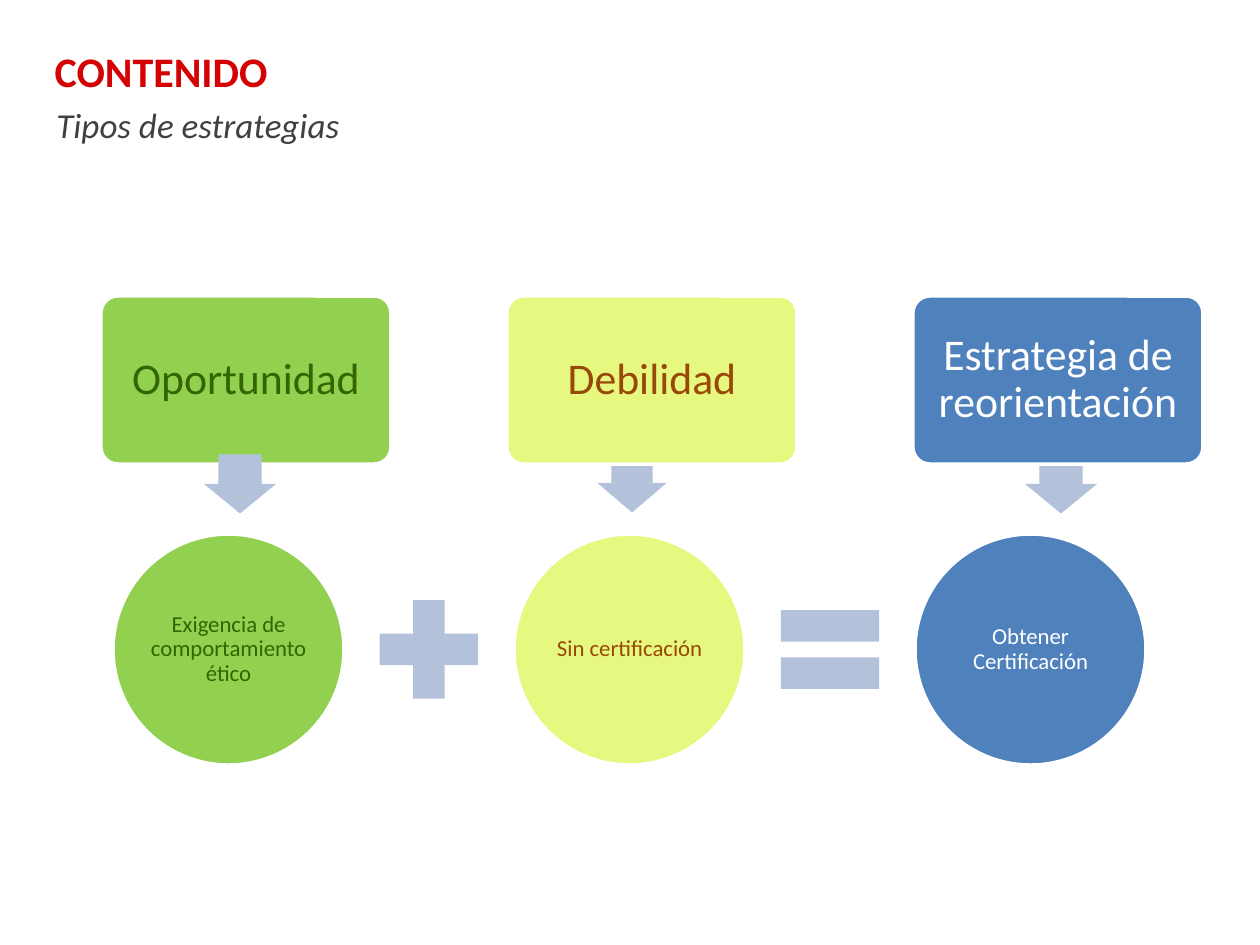
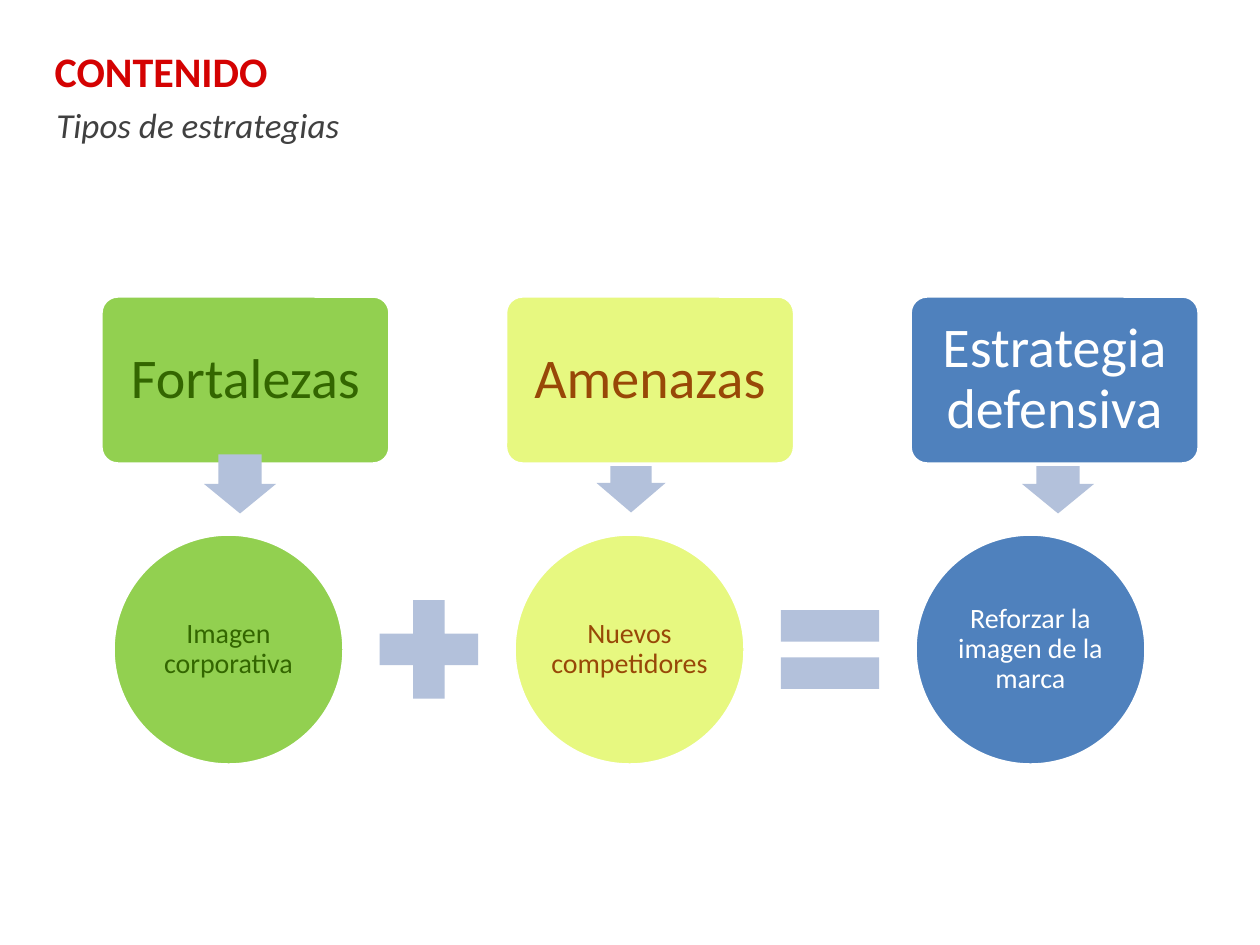
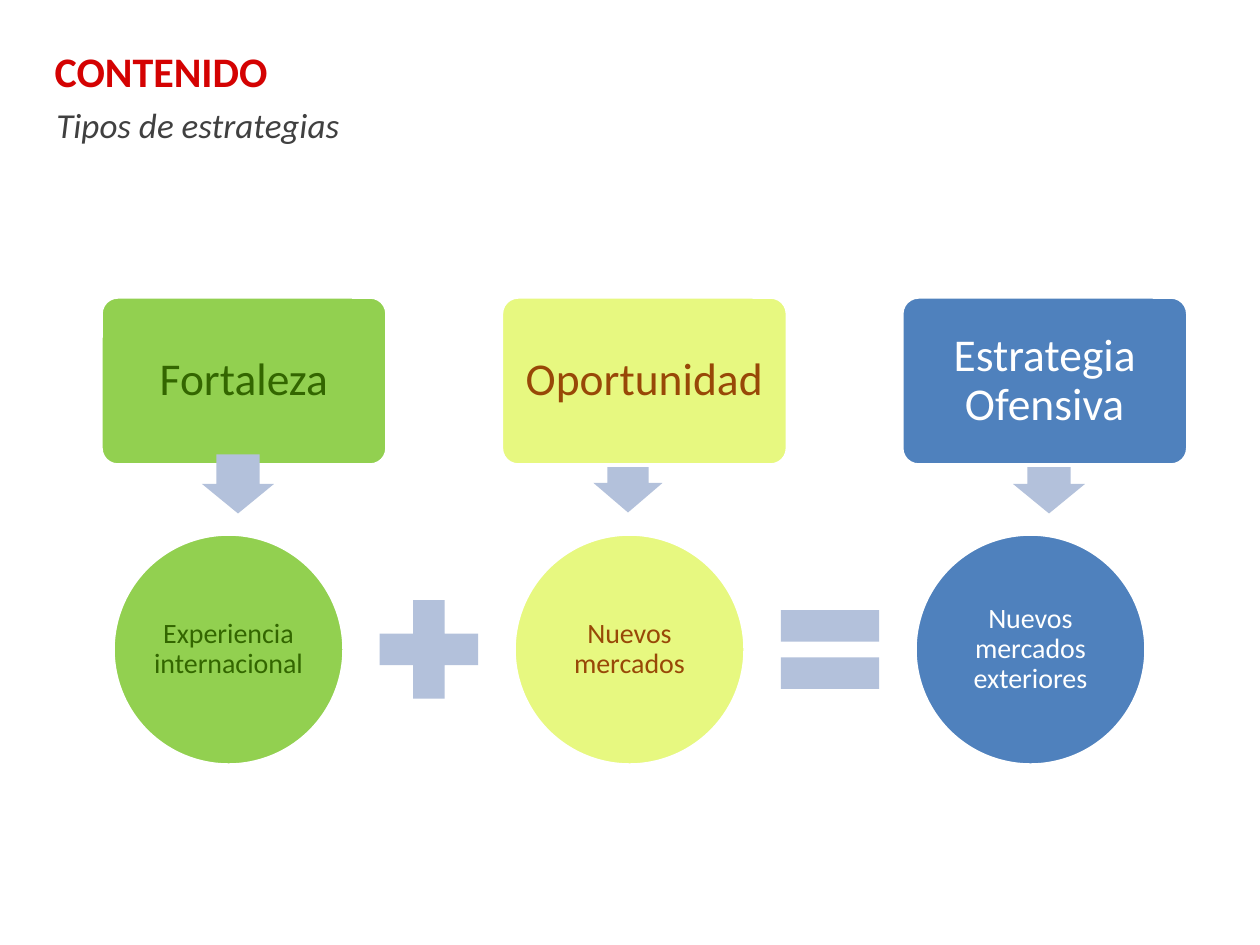
from pptx import Presentation
from pptx.dml.color import RGBColor
from pptx.enum.shapes import MSO_SHAPE as SHAPE
from pptx.enum.text import MSO_ANCHOR as ANCHOR, MSO_AUTO_SIZE as AUTO, PP_ALIGN as ALIGN
from pptx.util import Emu, Pt

COLORS = {
    "title": "D40202", "subtitle": "404040", "sign": "B3C1DB", "white": "FFFFFF",
    "green": "92D050", "dark_green": "336600", "yellow": "E7F880",
    "brown": "984807", "blue": "4F81BD",
}
FONT = "Calibri"
TITLE = "CONTENIDO"
SUBTITLE = "Tipos de estrategias"
COLUMNS = [("green", "dark_green"), ("yellow", "brown"), ("blue", "white")]
SLIDES = [
    {
        "factors": ["Oportunidad", "Debilidad", "Estrategia de reorientación"],
        "examples": ["Exigencia de comportamiento ético", "Sin certificación",
                     "Obtener Certificación"],
        "factor_size": 25, "example_size": 13, "inset": 13,
        "box_top": 296, "box_width": 290, "arrow_centers": [240, 632, 1061],
    },
    {
        "factors": ["Fortalezas", "Amenazas", "Estrategia defensiva"],
        "examples": ["Imagen corporativa", "Nuevos competidores",
                     "Reforzar la imagen de la marca"],
        "factor_size": 32, "example_size": 16, "inset": 16,
        "box_top": 296, "box_width": 289, "arrow_centers": [240, 631, 1058],
    },
    {
        "factors": ["Fortaleza", "Oportunidad", "Estrategia Ofensiva"],
        "examples": ["Experiencia internacional", "Nuevos mercados",
                     "Nuevos mercados exteriores"],
        "factor_size": 26, "example_size": 16, "inset": 14,
        "box_top": 297, "box_width": 286, "arrow_centers": [238, 628, 1049],
    },
]

BOX_LEFT, BOX_HEIGHT, BOX_PITCH = 101, 168, 1.4
ARROW_LENGTH, ARROW_WIDTHS, ARROW_MIDDLES = 59, (72, 69, 72), (484, 483, 484)
CIRCLE_LEFT, CIRCLE_TOP, CIRCLE_SIZE, CIRCLE_PITCH = 113, 534, 231, 401
SIGNS, SIGN_SIZE = (SHAPE.MATH_PLUS, SHAPE.MATH_EQUAL), 134


def px(n):
    return Emu(round(n * 914400 / 126))


def rgb(name):
    return RGBColor.from_string(COLORS[name])


def place(sp, left, top, width, height):
    sp.left, sp.top, sp.width, sp.height = map(px, (left, top, width, height))


def write(sp, text, size, color, bold=False, italic=False, align=ALIGN.LEFT,
          anchor=ANCHOR.MIDDLE, wrap=True, inset=None, spacing=None):
    tf = sp.text_frame
    tf.word_wrap, tf.vertical_anchor = wrap, anchor
    tf.auto_size = AUTO.NONE if wrap else AUTO.SHAPE_TO_FIT_TEXT
    if inset is not None:
        tf.margin_left = tf.margin_top = tf.margin_right = tf.margin_bottom = px(inset)
    p = tf.paragraphs[0]
    p.alignment, p.line_spacing = align, spacing
    r = p.add_run()
    r.text = text
    r.font.name, r.font.size, r.font.color.rgb = FONT, Pt(size), rgb(color)
    r.font.bold, r.font.italic = bold, italic


def add_shape(s, kind, box, fill, outlined=False):
    sp = s.shapes.add_shape(kind, *map(px, box))
    sp.shadow.inherit = False
    sp.fill.solid()
    sp.fill.fore_color.rgb = rgb(fill)
    if outlined:
        sp.line.color.rgb, sp.line.width = rgb("white"), Pt(2)
    else:
        sp.line.fill.background()
    return sp


def add_header(s):
    title = s.shapes.title
    place(title, 42, 24, 1071, 94)
    write(title, TITLE, 24, "title", bold=True)
    sub = s.shapes.add_textbox(*map(px, (44, 97, 320, 55)))
    write(sub, SUBTITLE, 20, "subtitle", italic=True, anchor=ANCHOR.TOP, wrap=False)


def add_circles(s, data):
    for i, (fill, color) in enumerate(COLUMNS):
        left = CIRCLE_LEFT + i * CIRCLE_PITCH
        sp = add_shape(s, SHAPE.OVAL, (left, CIRCLE_TOP, CIRCLE_SIZE, CIRCLE_SIZE), fill, True)
        write(sp, data["examples"][i], data["example_size"], color,
              align=ALIGN.CENTER, inset=2, spacing=0.9)
        if i < len(SIGNS):
            sign_left = left + (CIRCLE_SIZE + CIRCLE_PITCH - SIGN_SIZE) / 2
            sign_top = CIRCLE_TOP + (CIRCLE_SIZE - SIGN_SIZE) / 2
            add_shape(s, SIGNS[i], (sign_left, sign_top, SIGN_SIZE, SIGN_SIZE), "sign")


def add_box(s, data, i):
    fill, color = COLUMNS[i]
    width = data["box_width"]
    left = BOX_LEFT + i * width * BOX_PITCH
    sp = add_shape(s, SHAPE.ROUNDED_RECTANGLE,
                   (left, data["box_top"], width, BOX_HEIGHT), fill, True)
    sp.adjustments[0] = 0.1
    write(sp, data["factors"][i], data["factor_size"], color,
          align=ALIGN.CENTER, inset=data["inset"], spacing=0.9)


def add_arrow(s, data, i):
    width = ARROW_WIDTHS[i]
    left = data["arrow_centers"][i] - ARROW_LENGTH / 2
    sp = add_shape(s, SHAPE.RIGHT_ARROW,
                   (left, ARROW_MIDDLES[i] - width / 2, ARROW_LENGTH, width), "sign")
    sp.rotation = 90
    sp.adjustments[0], sp.adjustments[1] = 0.6, 0.5


def main():
    prs = Presentation()
    prs.slide_width, prs.slide_height = px(1260), px(945)
    for data in SLIDES:
        s = prs.slides.add_slide(prs.slide_layouts[5])
        add_header(s)
        add_circles(s, data)
        add_box(s, data, 0)
        for i in range(len(COLUMNS)):
            add_arrow(s, data, i)
        for i in range(1, len(COLUMNS)):
            add_box(s, data, i)
    prs.save("out.pptx")


if __name__ == "__main__":
    main()
